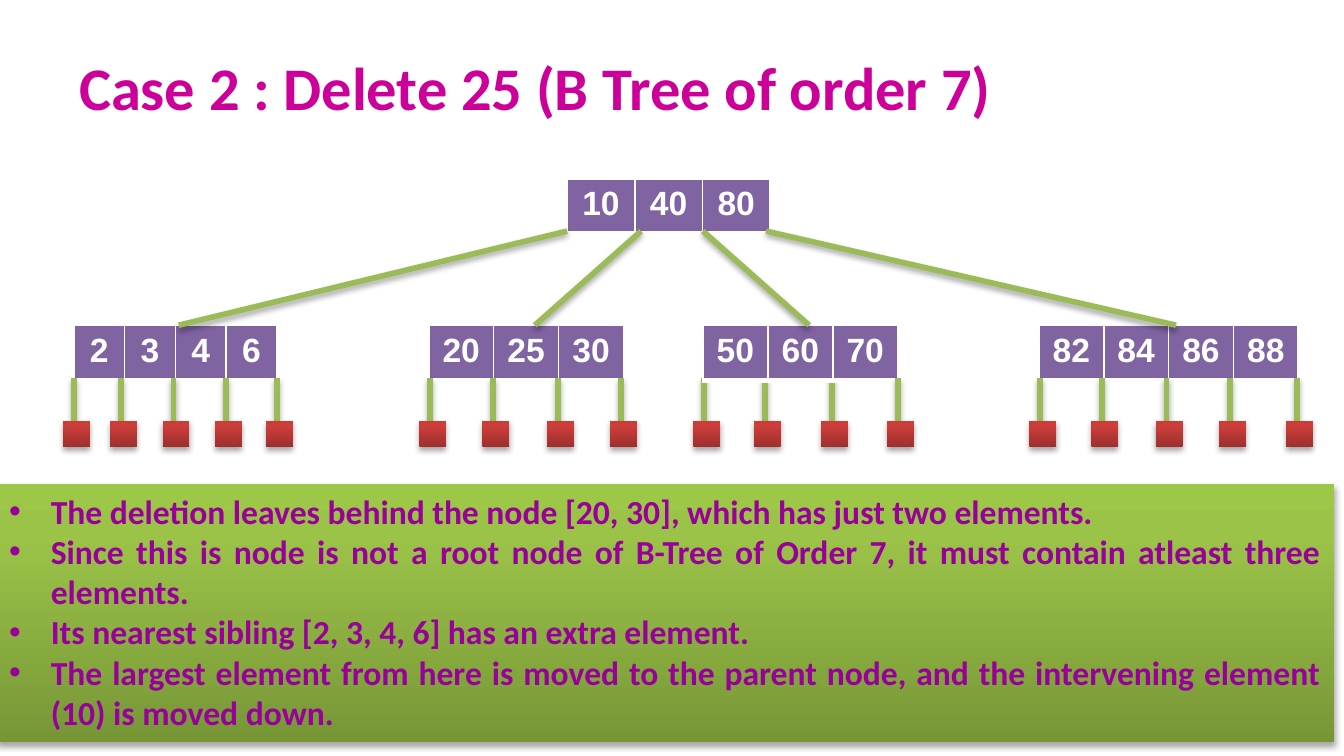
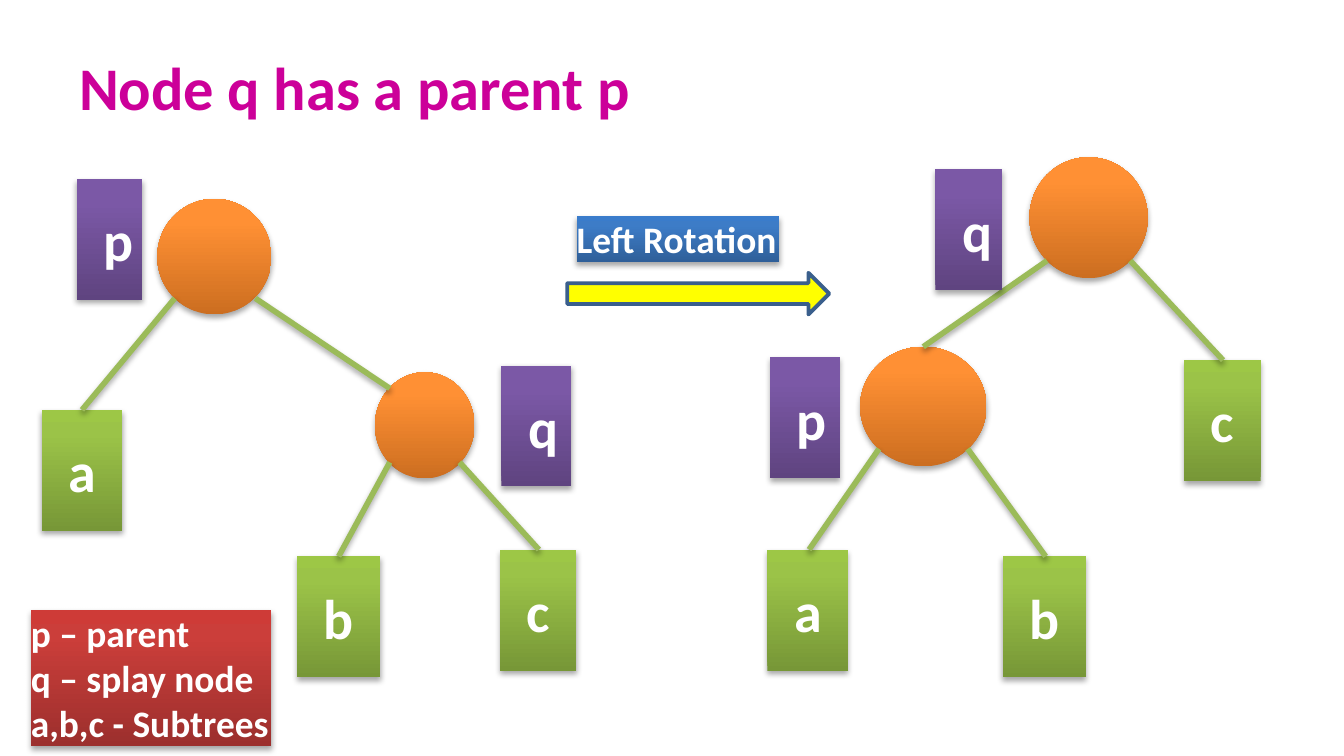
from lxml.etree import SubElement
from pptx import Presentation
from pptx.dml.color import RGBColor
from pptx.enum.shapes import MSO_CONNECTOR as Link, MSO_SHAPE as Preset
from pptx.enum.text import MSO_ANCHOR as Anchor, MSO_AUTO_SIZE as AutoSize, PP_ALIGN as Align
from pptx.oxml.ns import qn
from pptx.util import Inches, Pt

COLORS = {
    "title": "CC0099", "white": "FFFFFF", "key": "8064A2", "edge": "9BBB59",
    "note": "990099", "arrow": "FFFF00", "arrow_line": "3A5F8C", "shadow": "000000",
}
# Stops run from the bottom of a shape to its top, at 0, 80 and 100 percent
GRADIENTS = {
    "green": ("779737", "9BC348", "9DC746"),
    "red": ("9C2F2D", "CB3E3A", "CE3B37"),
    "orange": ("CC6E20", "FF9034", "FF9136"),
    "purple": ("5F4480", "7B58A6", "7C57A8"),
    "blue": ("2F5F99", "3D7CC7", "3A7CCB"),
}

# Slide 1: the B tree
LEAF_TOP, STEM_TOP, NIL_TOP, NIL_SIZE = 2.42, 2.81, 3.13, 0.2
ROOT_BOTTOM = 1.72
ROOT = (["10", "40", "80"], 4.22, 1.51)
# Keys, left, width, x of each stem
LEAVES = [
    (["2", "3", "4", "6"], 0.55, 1.51, [0.55, 0.9, 1.29, 1.68, 2.06]),
    (["20", "25", "30"], 3.19, 1.45, [3.2, 3.67, 4.15, 4.62]),
    (["50", "60", "70"], 5.23, 1.45, [5.24, 5.69, 6.19, 6.68]),
    (["82", "84", "86", "88"], 7.73, 1.93, [7.74, 8.2, 8.68, 9.15, 9.65]),
]
COVERS_STEMS = "50"  # first key of the leaf that lies over its stems
BRANCHES = [(4.22, 1.33), (4.77, 3.98), (5.23, 6.02), (5.7, 8.75)]
NOTES = [
    "The deletion leaves behind the node [20, 30], which has just two elements.",
    "Since this is node is not a root node of B-Tree of Order 7, it must contain "
    "atleast three elements.",
    "Its nearest sibling [2, 3, 4, 6] has an extra element.",
    "The largest element from here is moved to the parent node, and the intervening "
    "element (10) is moved down.",
]

# Slide 2: the trees before and after the rotation
LABEL_HEIGHT = 0.9
SUBTREE_WIDTHS = {"a": 0.6, "b": 0.62, "c": 0.57}
BEFORE = {
    "nodes": [(2.79, 2.77, 0.74, 0.79), (1.17, 1.48, 0.85, 0.86)],
    "subtrees": [("a", 0.31, 3.05), ("b", 2.21, 4.14), ("c", 3.72, 4.09)],
    "edges": [(1.3, 2.22, 0.61, 3.05), (1.9, 2.22, 2.9, 2.89),
              (2.9, 3.44, 2.52, 4.14), (3.42, 3.44, 4.01, 4.09)],
    "names": [("p", 0.57, 1.33, 0.49), ("q", 3.73, 2.72, 0.52)],
}
AFTER = {
    "nodes": [(7.66, 1.17, 0.88, 0.9), (6.4, 2.58, 0.94, 0.89)],
    "subtrees": [("a", 5.71, 4.09), ("b", 7.46, 4.14), ("c", 8.81, 2.68)],
    "edges": [(6.54, 3.34, 6.02, 4.09), (7.2, 3.34, 7.78, 4.14),
              (7.79, 1.94, 6.87, 2.58), (8.41, 1.94, 9.1, 2.68)],
    "names": [("p", 5.73, 2.66, 0.52), ("q", 6.96, 1.26, 0.5)],
}


def rgb(name):
    return RGBColor.from_string(COLORS[name])


def add_run(paragraph, text, size, color, font="Calibri"):
    run = paragraph.add_run()
    run.text = text
    run.font.size = Pt(size)
    run.font.name = font
    run.font.bold = True
    run.font.color.rgb = rgb(color)


def add_shadow(effects):
    shadow = SubElement(effects, qn("a:outerShdw"), blurRad="40000", dist="23000",
                        dir="5400000", rotWithShape="0")
    tint = SubElement(shadow, qn("a:srgbClr"), val=COLORS["shadow"])
    SubElement(tint, qn("a:alpha"), val="35000")


def add_gradient_shape(shapes, preset, box, gradient):
    shape = shapes.add_shape(preset, *map(Inches, box))
    shape.fill.gradient()
    shape.fill.gradient_angle = 90
    stops = shape.element.spPr.find(qn("a:gradFill")).find(qn("a:gsLst"))
    for stop in list(stops):
        stops.remove(stop)
    for position, color in zip((0, 80, 100), GRADIENTS[gradient]):
        stop = SubElement(stops, qn("a:gs"), pos=str(position * 1000))
        SubElement(stop, qn("a:srgbClr"), val=color)
    shape.line.fill.background()
    shape.shadow.inherit = False
    add_shadow(shape.element.spPr.find(qn("a:effectLst")))
    return shape


def add_edge(shapes, x1, y1, x2, y2):
    edge = shapes.add_connector(Link.STRAIGHT, *map(Inches, (x1, y1, x2, y2)))
    edge.line.color.rgb = rgb("edge")
    edge.line.width = Pt(3)
    add_shadow(SubElement(edge.element.spPr, qn("a:effectLst")))


def set_frame(frame, inset=None, wrap=True):
    frame.word_wrap = wrap
    frame.auto_size = AutoSize.SHAPE_TO_FIT_TEXT
    frame.vertical_anchor = Anchor.TOP
    if inset is not None:
        frame.margin_left = frame.margin_right = Inches(inset)
        frame.margin_top = frame.margin_bottom = Inches(inset)


def fill_paragraphs(frame, lines, size, color, align=Align.LEFT, bullet=False):
    for i, line in enumerate(lines):
        paragraph = frame.paragraphs[0] if i == 0 else frame.add_paragraph()
        paragraph.alignment = align
        if bullet:
            props = paragraph._p.get_or_add_pPr()
            props.set("marL", str(Inches(0.31)))
            props.set("indent", str(-Inches(0.31)))
            SubElement(props, qn("a:buFont"), typeface="Arial")
            SubElement(props, qn("a:buChar"), char="•")
        add_run(paragraph, line, size, color)


def add_label(slide, lines, box, gradient, size, inset, wrap=False):
    label = add_gradient_shape(slide.shapes, Preset.RECTANGLE, box, gradient)
    set_frame(label.text_frame, inset, wrap)
    fill_paragraphs(label.text_frame, lines, size, "white")


def add_titled_slide(deck, title):
    slide = deck.slides.add_slide(deck.slide_layouts[6])
    box = slide.shapes.add_textbox(*map(Inches, (0.49, 0.31, 9.02, 0.67)))
    box.text_frame.word_wrap = True
    box.text_frame.vertical_anchor = Anchor.MIDDLE
    add_run(box.text_frame.paragraphs[0], title, 32.4, "title")
    return slide


def add_key_row(slide, keys, left, top, width):
    table = slide.shapes.add_table(
        1, len(keys), *map(Inches, (left, top, width, 0.41))).table
    for column, key in enumerate(keys):
        table.columns[column].width = Inches(width / len(keys))
        cell = table.cell(0, column)
        cell.margin_left = cell.margin_right = Inches(0.05)
        paragraph = cell.text_frame.paragraphs[0]
        paragraph.alignment = Align.CENTER
        add_run(paragraph, key, 18, "white", "Arial")
        # Borders come before the fill in the cell properties
        props = cell._tc.get_or_add_tcPr()
        for side, points in (("L", 1), ("R", 1), ("T", 1), ("B", 3)):
            border = SubElement(props, qn(f"a:ln{side}"), w=str(Pt(points)))
            paint = SubElement(border, qn("a:solidFill"))
            SubElement(paint, qn("a:srgbClr"), val=COLORS["white"])
        cell.fill.solid()
        cell.fill.fore_color.rgb = rgb("key")


def add_stems(slide, stem_xs):
    for x in stem_xs:
        stem = slide.shapes.add_group_shape().shapes
        add_edge(stem, x, STEM_TOP, x, NIL_TOP)
        nil_box = (x - 0.08, NIL_TOP, NIL_SIZE, NIL_SIZE)
        add_gradient_shape(stem, Preset.RECTANGLE, nil_box, "red")


def add_leaf(slide, keys, left, width, stem_xs):
    if keys[0] == COVERS_STEMS:
        add_stems(slide, stem_xs[:-1])
        stem_xs = stem_xs[-1:]
    add_key_row(slide, keys, left, LEAF_TOP, width)
    add_stems(slide, stem_xs)


def add_rotation_tree(slide, tree):
    for box in tree["nodes"]:
        add_gradient_shape(slide.shapes, Preset.OVAL, box, "orange")
    for name, left, top in tree["subtrees"]:
        box = (left, top, SUBTREE_WIDTHS[name], LABEL_HEIGHT)
        add_label(slide, [name], box, "green", 30, 0.2)
    for edge in tree["edges"]:
        add_edge(slide.shapes, *edge)
    for name, left, top, width in tree["names"]:
        box = (left, top, width, LABEL_HEIGHT)
        add_label(slide, [name], box, "purple", 30, 0.2, wrap=True)


def build_deletion_slide(deck):
    slide = add_titled_slide(deck, "Case 2 : Delete 25 (B Tree of order 7)")
    keys, left, width = ROOT
    add_key_row(slide, keys, left, 1.33, width)
    for leaf in LEAVES:
        add_leaf(slide, *leaf)
    for root_x, leaf_x in BRANCHES:
        add_edge(slide.shapes, root_x, ROOT_BOTTOM, leaf_x, LEAF_TOP)

    # Explanation panel
    panel = add_gradient_shape(slide.shapes, Preset.RECTANGLE,
                               (-0.03, 3.6, 9.96, 1.92), "green")
    set_frame(panel.text_frame)
    fill_paragraphs(panel.text_frame, NOTES, 18, "note", Align.JUSTIFY, bullet=True)


def build_rotation_slide(deck):
    slide = add_titled_slide(deck, "Node q has a parent p")
    for tree in (BEFORE, AFTER):
        add_rotation_tree(slide, tree)

    # Rotation arrow and its caption
    arrow = slide.shapes.add_shape(Preset.RIGHT_ARROW,
                                   *map(Inches, (4.22, 2.03, 1.95, 0.31)))
    arrow.shadow.inherit = False
    arrow.fill.solid()
    arrow.fill.fore_color.rgb = rgb("arrow")
    arrow.line.color.rgb = rgb("arrow_line")
    arrow.line.width = Pt(2)
    add_label(slide, ["Left Rotation"], (4.29, 1.61, 1.51, 0.34), "blue", 20, 0)

    # Legend
    legend = ["p – parent", "q – splay node", "a,b,c - Subtrees"]
    add_label(slide, legend, (0.23, 4.54, 1.79, 1.01), "red", 20, 0)


def main():
    deck = Presentation()
    # Widescreen, 16:9
    deck.slide_width, deck.slide_height = Inches(10), Inches(10 * 9 / 16)
    build_deletion_slide(deck)
    build_rotation_slide(deck)
    deck.save("out.pptx")


if __name__ == "__main__":
    main()
